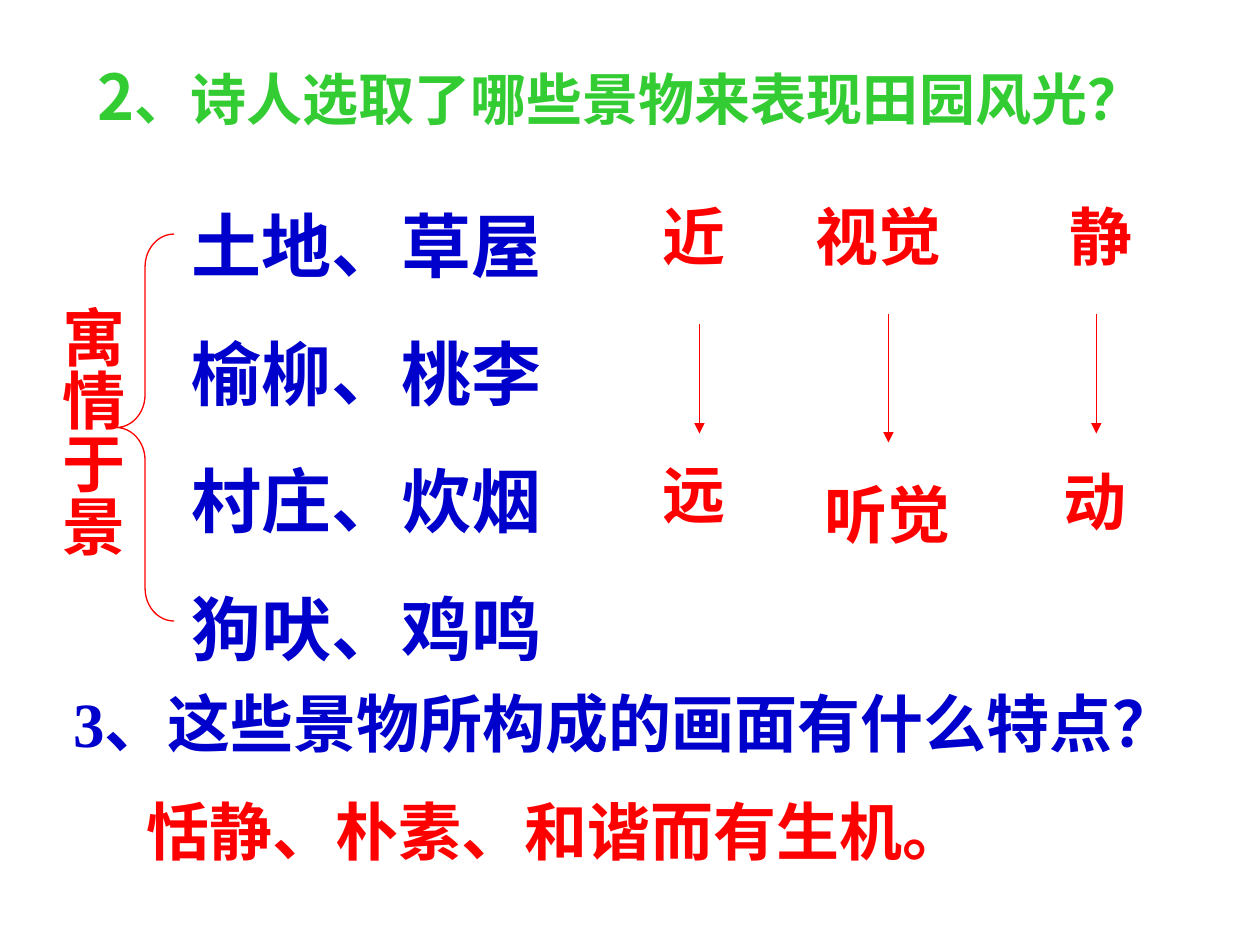
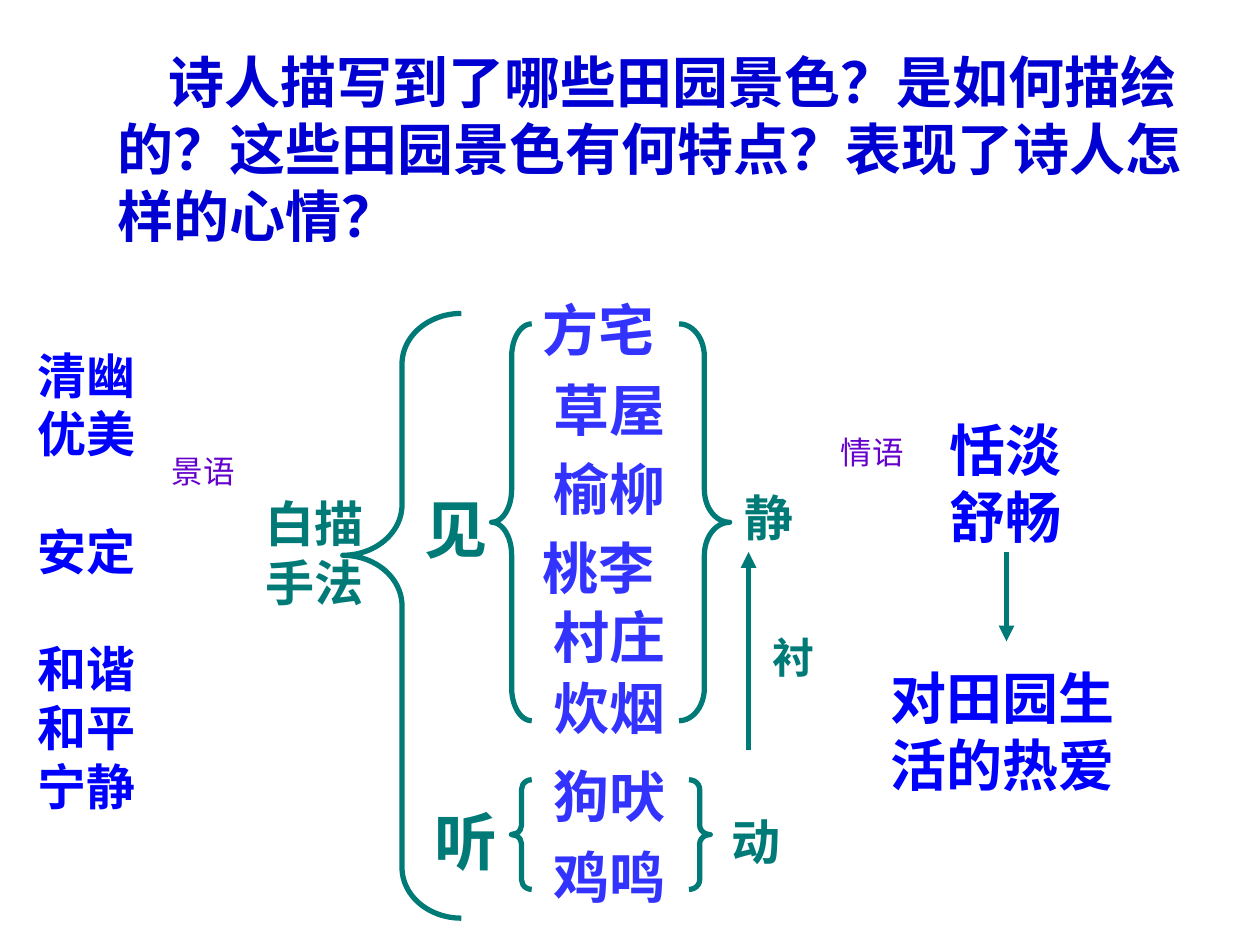
from lxml import etree
from pptx import Presentation
from pptx.dml.color import RGBColor
from pptx.enum.shapes import MSO_CONNECTOR, MSO_SHAPE
from pptx.enum.text import MSO_AUTO_SIZE, PP_ALIGN
from pptx.oxml.ns import qn
from pptx.util import Cm, Pt

STRAIGHT = MSO_CONNECTOR.STRAIGHT
LEFT_BRACE = MSO_SHAPE.LEFT_BRACE
RIGHT_BRACE = MSO_SHAPE.RIGHT_BRACE
NO_AUTOSIZE = MSO_AUTO_SIZE.NONE
LEFT = PP_ALIGN.LEFT
CENTER = PP_ALIGN.CENTER

RED = "FF0000"
GREEN = "33CC33"
NAVY = "0000CC"
TEAL = "007A77"
BLUE = "0000FF"
PERIWINKLE = "3333FF"
PURPLE = "6600CC"
SERIF = "Times New Roman"
SANS = "Arial"
CJK = "Noto Sans CJK SC"


def rgb(value):
    return RGBColor.from_string(value)


def add_run(p, text, size, color, font, bold=True):
    r = p.add_run()
    r.text = text
    r.font.size = Pt(size)
    r.font.bold = bold
    r.font.color.rgb = rgb(color)
    r.font.name = font
    etree.SubElement(r.font._element, qn("a:ea"), typeface=CJK)


class Deck:
    line_height = 1.2
    top_shift = 0.1

    def __init__(self, width, height):
        self.prs = Presentation()
        self.prs.slide_width = Cm(width)
        self.prs.slide_height = Cm(height)
        self.s = None

    def new_slide(self):
        self.s = self.prs.slides.add_slide(self.prs.slide_layouts[6])

    def text(self, lines, x, y, w, h, size=36, color=RED, font=SERIF,
             bold=True, align=LEFT, gaps=None, indent=0, vertical=False):
        tf = self.s.shapes.add_textbox(Cm(x), Cm(y), Cm(w), Cm(h)).text_frame
        tf.word_wrap = True
        tf.auto_size = NO_AUTOSIZE
        if vertical:
            tf._txBody.bodyPr.set("vert", "eaVert")
            tf.margin_left = tf.margin_right = Cm(0.13)
            tf.margin_top = tf.margin_bottom = Cm(0.25)
        else:
            tf.margin_top = Cm(0.13) + Pt(size * self.top_shift)
        for i, line in enumerate(lines):
            p = tf.paragraphs[0] if i == 0 else tf.add_paragraph()
            p.alignment = align
            p.line_spacing = Pt(size * self.line_height)
            p.space_before = Pt(gaps[i] if gaps else 0)
            if indent:
                p._p.get_or_add_pPr().set("indent", str(Cm(indent)))
            runs = [(line, size)] if isinstance(line, str) else line
            for content, run_size in runs:
                add_run(p, content, run_size, color, font, bold)

    def arrow(self, x, y1, y2, color=RED, width=0.75):
        c = self.s.shapes.add_connector(STRAIGHT, Cm(x), Cm(y1), Cm(x), Cm(y2))
        c.line.color.rgb = rgb(color)
        c.line.width = Pt(width)
        etree.SubElement(c.line._get_or_add_ln(), qn("a:tailEnd"), type="triangle")
        etree.SubElement(c._element.spPr, qn("a:effectLst"))

    def brace(self, kind, x, y, w, h, radius, tip=0.5, color=TEAL, width=3):
        sp = self.s.shapes.add_shape(kind, Cm(x), Cm(y), Cm(w), Cm(h))
        sp.shadow.inherit = False
        sp.fill.background()
        sp.line.color.rgb = rgb(color)
        sp.line.width = Pt(width)
        sp.adjustments[0] = radius / min(w, h)
        sp.adjustments[1] = tip


def scenery_slide(d):
    d.new_slide()
    d.text([[("2", 36), ("、诗人选取了哪些景物来表现田园风光？", 32)]],
           0.69, 0.91, 23.65, 1.78, color=GREEN, font=CJK, align=CENTER)
    d.text(["土地、草屋", "榆柳、桃李", "村庄、炊烟", "狗吠、鸡鸣"],
           3.61, 3.81, 8.79, 9.96, size=40, color=NAVY, gaps=[0, 25, 25, 25])
    contrasts = [
        ("近", 12.29, 3.73, 3.4), ("远", 12.29, 8.92, 3.4),
        ("视觉", 15.49, 3.73, 4.45), ("听觉", 15.9, 9.32, 3.99),
        ("静", 21.31, 3.73, 1.78), ("动", 21.18, 9.07, 1.78),
    ]
    for word, x, y, w in contrasts:
        d.text([word], x, y, w, 1.78, align=CENTER)
    for x, y1, y2 in [(14.1, 6.53, 8.74), (17.91, 6.32, 8.92), (22.1, 6.32, 8.74)]:
        d.arrow(x, y1, y2)
    d.brace(LEFT_BRACE, 2.34, 4.72, 1.17, 7.8, 0.66, color=RED, width=0.75)
    d.text(["寓情于景"], 0.71, 5.92, 2.03, 5.82, align=CENTER, vertical=True)
    d.text(["3、这些景物所构成的画面有什么特点？"],
           0.43, 13.54, 24.31, 4.11, color=NAVY, align=CENTER)
    d.text(["恬静、朴素、和谐而有生机。"], 2.11, 15.72, 18.21, 4.11, align=CENTER)


def mood_slide(d):
    d.new_slide()
    d.text(["诗人描写到了哪些田园景色？是如何描绘的？这些田园景色有何特点？表现了诗人怎样的心情？"],
           2.11, 0.71, 22.02, 4.32, size=32, color="0000D2", font=CJK, indent=1.04)
    d.brace(LEFT_BRACE, 6.91, 6.32, 2.39, 12.19, 1.02, tip=0.4)
    scenes = [
        ("方宅", 10.69, 5.72, 5), ("草屋", 10.9, 7.32, 4.39),
        ("榆柳", 10.9, 8.92, 4.6), ("桃李", 10.69, 10.52, 5.21),
        ("村庄", 10.9, 11.91, 5), ("炊烟", 10.9, 13.34, 4.8),
        ("狗吠", 10.9, 15.11, 4.6), ("鸡鸣", 10.9, 16.74, 4.6),
    ]
    for word, x, y, w in scenes:
        d.text([word], x, y, w, 1.63, size=32, color=PERIWINKLE)
    sights = dict(y=6.53, h=8, radius=0.66)
    sounds = dict(y=15.72, h=2.21, radius=0.19)
    d.brace(LEFT_BRACE, x=9.91, w=0.81, **sights)
    d.brace(RIGHT_BRACE, x=13.69, w=1.02, **sights)
    d.brace(LEFT_BRACE, x=10.31, w=0.41, **sounds)
    d.brace(RIGHT_BRACE, x=13.89, w=0.43, **sounds)

    teal = dict(color=TEAL, font=SANS)
    d.text(["见"], 8.31, 9.63, 1.78, 1.78, **teal)
    d.text(["听"], 8.51, 15.93, 1.65, 1.78, **teal)
    d.text(["静"], 14.5, 9.7, 1.68, 1.24, size=28, vertical=True, **teal)
    d.text(["动"], 14.5, 16.13, 1.35, 1.45, size=28, **teal)
    d.text(["衬"], 15.32, 12.52, 1.35, 1.27, size=24, **teal)
    d.text(["白描", "手法"], 5.11, 9.73, 3, 2.64, size=28, **teal)
    d.arrow(15.09, 15.11, 11.13, TEAL, 3)
    d.arrow(20.29, 11.13, 12.93, TEAL, 3)

    label = dict(size=18, color=PURPLE, font=CJK, bold=False, align=CENTER)
    d.text(["景语"], 2.9, 8.92, 2.39, 2.59, **label)
    d.text(["情语"], 16.31, 8.53, 2.54, 2.84, **label)

    blue = dict(color=BLUE, font=SANS)
    d.text(["清幽", "优美", "安定", "和谐", "和平", "宁静"], 0.51, 6.73, 2.9, 9.75,
           size=28, gaps=[0, 0, 33.5, 33.5, 0, 0], **blue)
    d.text(["恬淡", "舒畅"], 18.9, 8.13, 2.79, 2.97, size=32, **blue)
    d.text(["对田园生活的热爱"], 17.7, 13.13, 5.59, 2.97, size=32, **blue)


def main():
    d = Deck(25.4, 19.05)
    scenery_slide(d)
    mood_slide(d)
    d.prs.save("out.pptx")


if __name__ == "__main__":
    main()
